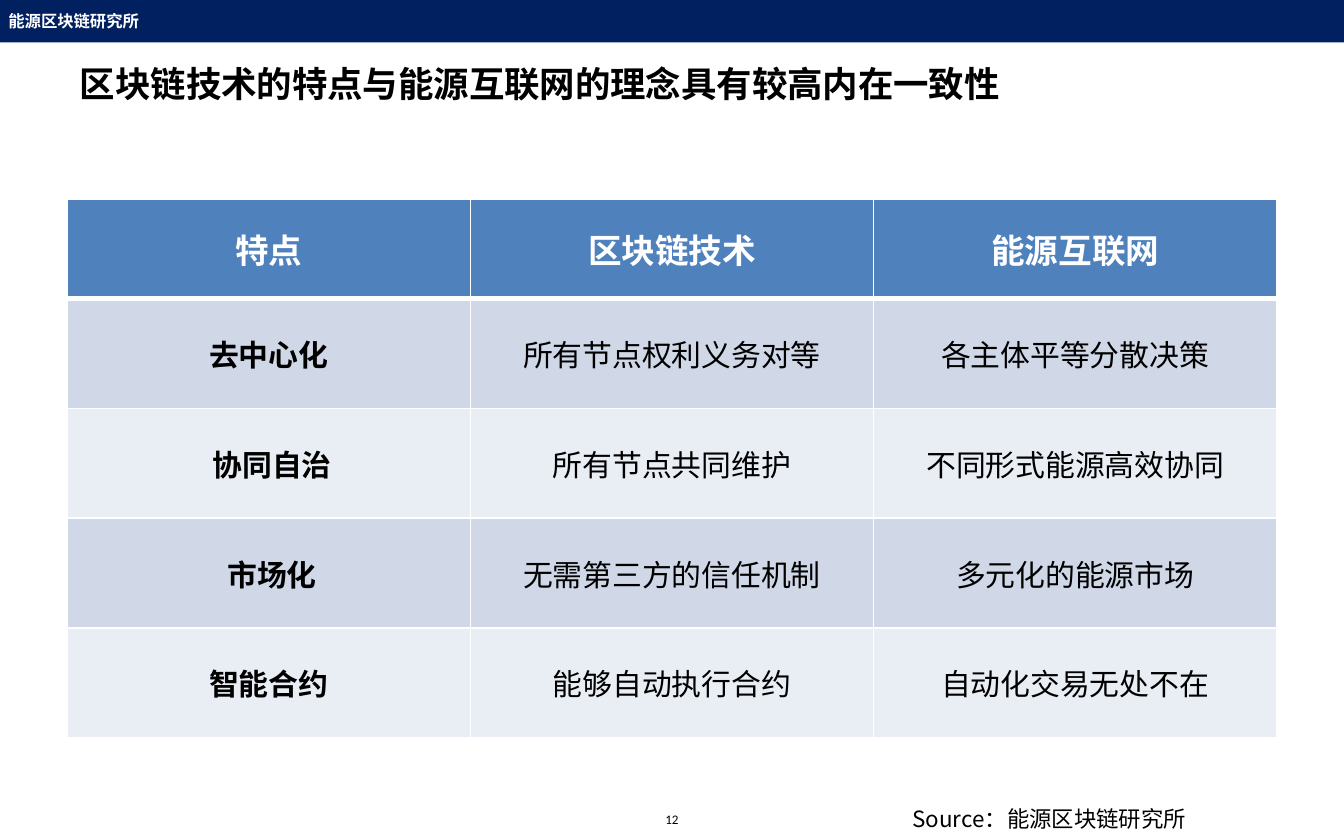
from lxml.etree import SubElement
from pptx import Presentation
from pptx.dml.color import RGBColor
from pptx.enum.shapes import MSO_SHAPE as Shape
from pptx.enum.text import MSO_ANCHOR as Anchor, PP_ALIGN as Align
from pptx.oxml.ns import qn
from pptx.util import Pt

NAVY = RGBColor(0x00, 0x20, 0x60)
BLUE = RGBColor(0x4F, 0x81, 0xBD)
BANDS = (RGBColor(0xD0, 0xD8, 0xE8), RGBColor(0xE9, 0xED, 0xF4))
WHITE = RGBColor(0xFF, 0xFF, 0xFF)
BLACK = RGBColor(0x00, 0x00, 0x00)
CJK = "Noto Sans CJK SC"
INSTITUTE = "能源区块链研究所"

FEATURES = [
    ("特点", "区块链技术", "能源互联网"),
    ("去中心化", "所有节点权利义务对等", "各主体平等分散决策"),
    (" 协同自治", "所有节点共同维护", "不同形式能源高效协同"),
    (" 市场化", "无需第三方的信任机制", "多元化的能源市场"),
    ("智能合约", "能够自动执行合约", "自动化交易无处不在"),
]


def write(frame, text, size, color=BLACK, bold=False, align=Align.LEFT, face=CJK):
    """Fill a text frame with one formatted paragraph."""
    frame.text = text
    paragraph = frame.paragraphs[0]
    paragraph.alignment = align
    for run in paragraph.runs:
        run.font.size, run.font.bold, run.font.name = Pt(size), bold, face
        run.font.color.rgb = color
        SubElement(run.font._element, qn("a:ea"), typeface=face)


def set_margins(box, side, end):
    """Set the left/right and top/bottom insets of a frame or cell."""
    box.margin_left = box.margin_right = Pt(side)
    box.margin_top = box.margin_bottom = Pt(end)


def add_banner(slide, left, top, width, height):
    """Draw the navy strip with the name of the institute."""
    banner = slide.shapes.add_shape(Shape.RECTANGLE, Pt(left), Pt(top), Pt(width), Pt(height))
    banner.shadow.inherit = False
    banner.fill.solid()
    banner.fill.fore_color.rgb = NAVY
    banner.line.fill.background()
    set_margins(banner.text_frame, 4.5, 4.5)
    banner.text_frame.vertical_anchor = Anchor.MIDDLE
    write(banner.text_frame, INSTITUTE, 8.8, WHITE, True)


def add_title(slide, left, top, width, height):
    """Place and format the title placeholder."""
    title = slide.shapes.title
    title.left, title.top, title.width, title.height = Pt(left), Pt(top), Pt(width), Pt(height)
    title.text_frame.vertical_anchor = Anchor.MIDDLE
    set_margins(title.text_frame, 6.8, 3.6)
    write(title.text_frame, "区块链技术的特点与能源互联网的理念具有较高内在一致性",
          19, BLACK, True, Align.JUSTIFY)


def add_borders(cell, top, bottom):
    """Give a cell white borders, with its own top and bottom widths."""
    properties = cell._tc.get_or_add_tcPr()
    for index, (side, width) in enumerate((("L", 1), ("R", 1), ("T", top), ("B", bottom))):
        border = properties.makeelement(qn(f"a:ln{side}"), {"w": str(Pt(width))})
        fill = SubElement(border, qn("a:solidFill"))
        SubElement(fill, qn("a:srgbClr"), val=str(WHITE))
        properties.insert(index, border)


def add_feature_table(slide, left, top, width, height, header_height):
    """Build the comparison table with a header and banded rows."""
    count = len(FEATURES)
    table = slide.shapes.add_table(
        count, len(FEATURES[0]), Pt(left), Pt(top), Pt(width), Pt(height)).table
    for column in table.columns:
        column.width = Pt(width / len(FEATURES[0]))
    for r, texts in enumerate(FEATURES):
        header = r == 0
        table.rows[r].height = Pt(header_height if header else (height - header_height) / (count - 1))
        for c, text in enumerate(texts):
            cell = table.cell(r, c)
            cell.fill.solid()
            cell.fill.fore_color.rgb = BLUE if header else BANDS[(r - 1) % 2]
            cell.vertical_anchor = Anchor.MIDDLE
            set_margins(cell, 0, 0)
            write(cell.text_frame, text, 18 if header else 16, WHITE if header else BLACK,
                  header or c == 0, Align.CENTER)
            add_borders(cell, 3 if r == 1 else 1, 3 if header else 1)


def add_label(slide, left, top, width, height, text, size, wrap=True, **style):
    """Add a plain text box and return its frame."""
    frame = slide.shapes.add_textbox(Pt(left), Pt(top), Pt(width), Pt(height)).text_frame
    frame.word_wrap = wrap
    set_margins(frame, 6.8, 3.6)
    write(frame, text, size, **style)
    return frame


def add_footer(slide, left, top, width, height):
    """Place the page number in the centre and the source at the right."""
    number = add_label(slide, left + width / 2 - 11, top + 4, 22, 14.5, "12", 7,
                       wrap=False, align=Align.CENTER, face="Calibri")
    number.paragraphs[0].line_spacing = 0.9
    add_label(slide, left + width - 238, top, 222, height, f"Source：{INSTITUTE}", 12)


def main():
    """Build the slide and save it."""
    deck = Presentation()
    deck.slide_width, deck.slide_height = Pt(720), Pt(450)
    slide = deck.slides.add_slide(deck.slide_layouts[5])
    add_banner(slide, 0, 0, 720, 22.7)
    add_title(slide, 36, 24.5, 648, 40)
    add_feature_table(slide, 36, 106.6, 648, 288.6, 53.4)
    add_footer(slide, 0, 428, 720, 24)
    deck.save("out.pptx")


if __name__ == "__main__":
    main()
